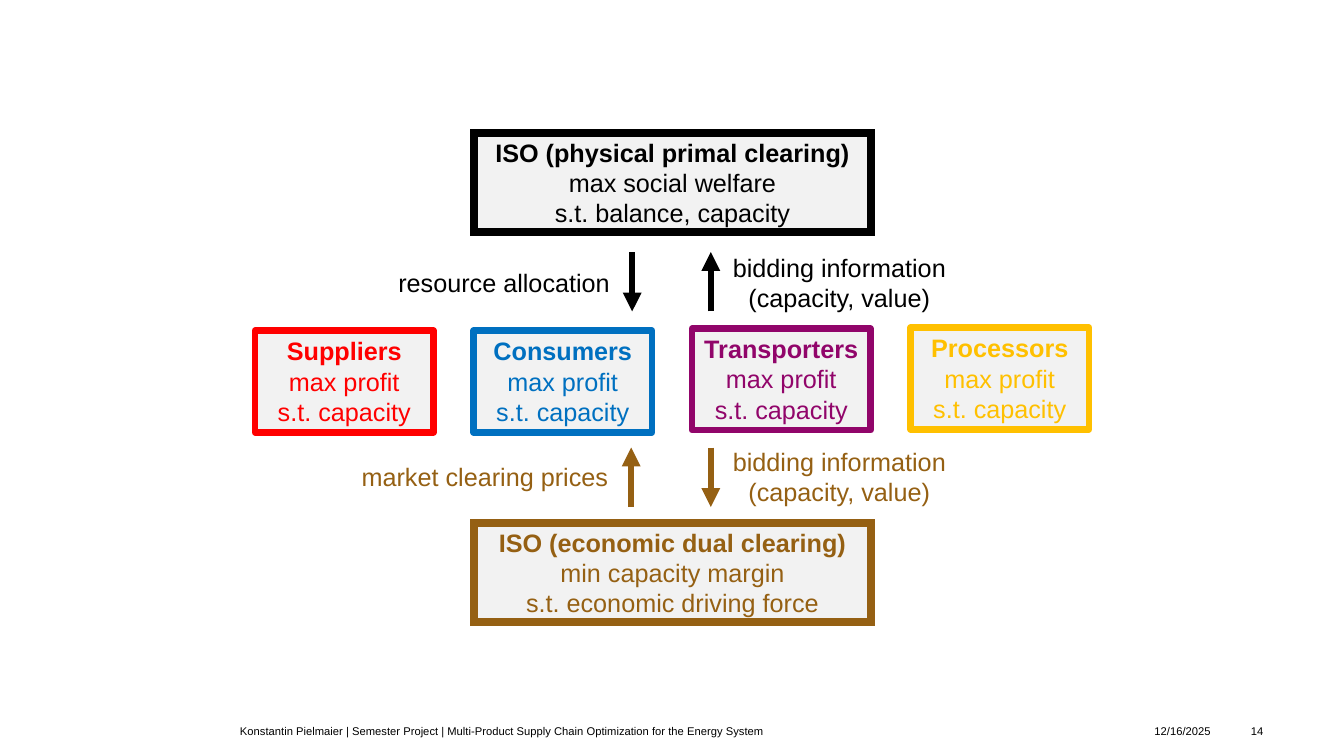
from dataclasses import dataclass

from lxml.etree import SubElement
from pptx import Presentation
from pptx.dml.color import RGBColor
from pptx.enum.shapes import MSO_CONNECTOR as Connector, MSO_SHAPE as Preset
from pptx.enum.text import MSO_ANCHOR as Anchor, PP_ALIGN as Align
from pptx.oxml.ns import qn
from pptx.util import Inches, Pt


@dataclass(frozen=True)
class Theme:
    font: str = "Arial"
    body_size: int = 18
    footer_size: int = 8
    market_line: float = 6
    thin_line: float = 4.5
    panel: str = "F2F2F2"
    primal: str = "000000"
    dual: str = "956013"
    supplier: str = "FF0000"
    consumer: str = "0070C0"
    transporter: str = "91056A"
    processor: str = "FFC000"


THEME = Theme()

MARKETS = [
    (1.32, THEME.primal, ["ISO (physical primal clearing)", "max social welfare", "s.t. balance, capacity"]),
    (5.19, THEME.dual, ["ISO (economic dual clearing)", "min capacity margin", "s.t. economic driving force"]),
]
PARTICIPANTS = [
    ("Suppliers", THEME.supplier, 3.28),
    ("Consumers", THEME.consumer, 3.28),
    ("Transporters", THEME.transporter, 3.26),
    ("Processors", THEME.processor, 3.25),
]
PARTICIPANT_GOALS = ["max profit", "s.t. capacity"]
BIDDING = "bidding information (capacity, value)"
ARROWS = [
    (6.27, 2.5, 3.09, THEME.primal),
    (7.05, 3.09, 2.5, THEME.primal),
    (7.05, 4.44, 5.03, THEME.dual),
    (6.26, 5.03, 4.44, THEME.dual),
]
LABELS = [
    ("resource allocation", (3.85, 2.6, 2.3, 0.4), THEME.primal),
    (BIDDING, (7.16, 2.45, 2.33, 0.71), THEME.primal),
    ("market clearing prices", (3.48, 4.53, 2.66, 0.4), THEME.dual),
    (BIDDING, (7.16, 4.38, 2.33, 0.71), THEME.dual),
]
FOOTERS = [
    ("Konstantin Pielmaier | Semester Project | Multi-Product Supply Chain Optimization for the Energy System",
     (2.38, 7.13, 5.91, 0.24), Align.LEFT),
    ("12/16/2025", (11.45, 7.13, 0.67, 0.24), Align.LEFT),
    ("14", (12.18, 7.13, 0.35, 0.24), Align.RIGHT),
]
FIRST_LEFT, PARTICIPANT_STEP = 2.53, 2.167


def write(shape, lines, color, size=THEME.body_size, align=Align.CENTER, anchor=Anchor.TOP, bold_first=False):
    frame = shape.text_frame
    frame.word_wrap = True
    frame.vertical_anchor = anchor
    frame.text = "\n".join(lines)
    for index, paragraph in enumerate(frame.paragraphs):
        paragraph.alignment = align
        font = paragraph.font
        font.name, font.size = THEME.font, Pt(size)
        font.bold = bold_first and index == 0
        font.color.rgb = RGBColor.from_string(color)


def style_line(line, color, width):
    line.color.rgb = RGBColor.from_string(color)
    line.width = Pt(width)


def add_panel(slide, box, lines, color, width, anchor, join):
    shape = slide.shapes.add_shape(Preset.RECTANGLE, *map(Inches, box))
    shape.shadow.inherit = False
    shape.fill.solid()
    shape.fill.fore_color.rgb = RGBColor.from_string(THEME.panel)
    style_line(shape.line, color, width)
    SubElement(shape.line._get_or_add_ln(), qn(f"a:{join}"))
    write(shape, lines, color, anchor=anchor, bold_first=True)


def add_arrow(slide, x, start, end, color):
    arrow = slide.shapes.add_connector(Connector.STRAIGHT, *map(Inches, (x, start, x, end)))
    style_line(arrow.line, color, THEME.thin_line)
    SubElement(arrow.line._get_or_add_ln(), qn("a:tailEnd"), type="triangle")
    SubElement(arrow._element.spPr, qn("a:effectLst"))


def add_footer(slide, text, box, align):
    shape = slide.shapes.add_textbox(*map(Inches, box))
    frame = shape.text_frame
    frame.margin_left = frame.margin_right = frame.margin_top = frame.margin_bottom = 0
    write(shape, [text], THEME.primal, THEME.footer_size, align, Anchor.MIDDLE)


def main():
    """Build the market clearing slide and save it."""
    presentation = Presentation()
    presentation.slide_width, presentation.slide_height = Inches(13.33), Inches(7.5)
    slide = presentation.slides.add_slide(presentation.slide_layouts[6])
    for text, box, align in FOOTERS:
        add_footer(slide, text, box, align)
    for index, (name, color, top) in enumerate(PARTICIPANTS):
        box = (FIRST_LEFT + index * PARTICIPANT_STEP, top, 1.77, 1.01)
        add_panel(slide, box, [name, *PARTICIPANT_GOALS], color, THEME.thin_line, Anchor.TOP, "round")
    for top, color, lines in MARKETS:
        add_panel(slide, (4.7, top, 3.94, 0.98), lines, color, THEME.market_line, Anchor.MIDDLE, "miter")
    for arrow in ARROWS:
        add_arrow(slide, *arrow)
    for text, box, color in LABELS:
        write(slide.shapes.add_textbox(*map(Inches, box)), [text], color)
    presentation.save("out.pptx")


if __name__ == "__main__":
    main()
